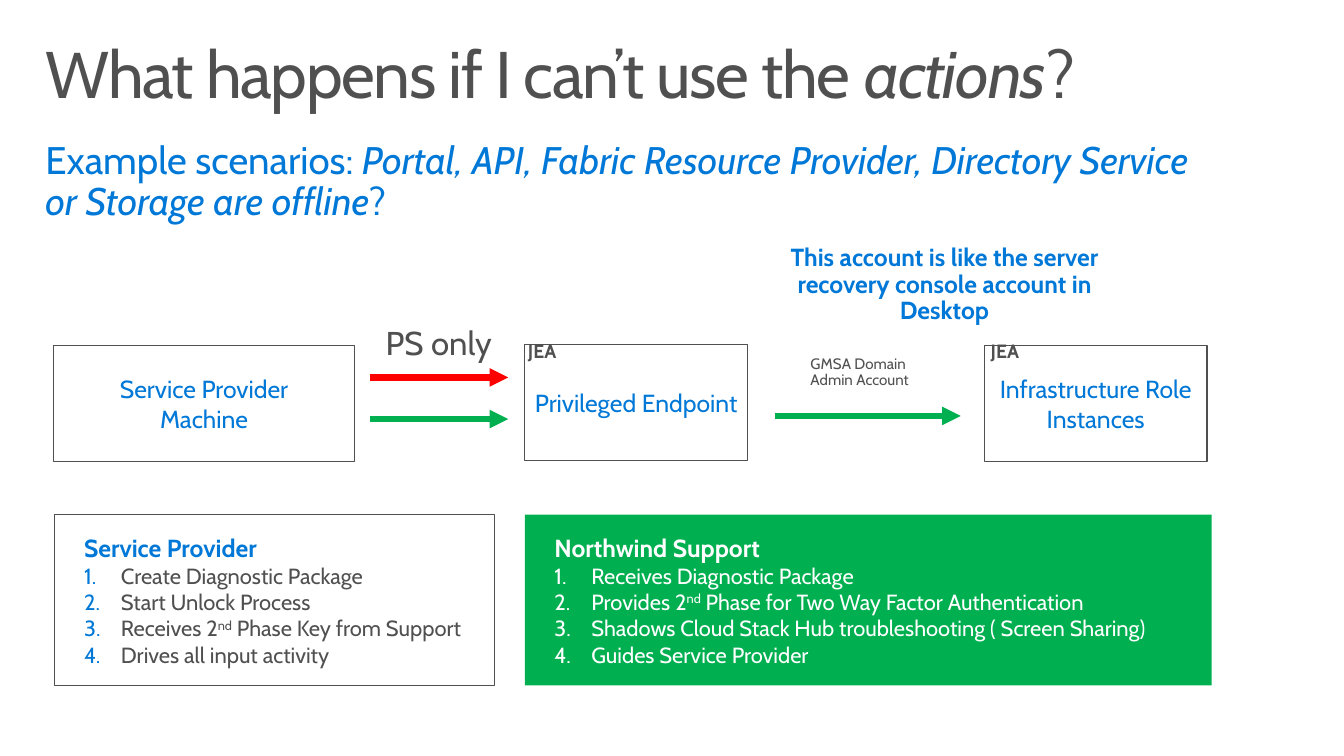
from dataclasses import dataclass

from lxml import etree
from pptx import Presentation
from pptx.dml.color import RGBColor
from pptx.enum.shapes import MSO_CONNECTOR, MSO_SHAPE
from pptx.enum.text import MSO_ANCHOR, PP_ALIGN
from pptx.oxml.ns import qn
from pptx.util import Cm, Pt

RECT = MSO_SHAPE.RECTANGLE
STRAIGHT = MSO_CONNECTOR.STRAIGHT
LEFT, CENTER = PP_ALIGN.LEFT, PP_ALIGN.CENTER
TOP, MIDDLE = MSO_ANCHOR.TOP, MSO_ANCHOR.MIDDLE


@dataclass(frozen=True)
class Theme:
    font: str = "Cabin"
    gray: str = "505050"
    blue: str = "0078D7"
    green: str = "00B050"
    red: str = "FF0000"
    white: str = "FFFFFF"
    title: int = 48
    subtitle: int = 28
    label: int = 24
    heading: int = 18
    item: int = 16
    tag: int = 14
    small: int = 11
    outline: float = 0.85
    arrow: float = 4.5


T = Theme()
HEAD_INSETS = (0.41, 0.25)
NOTE_INSETS = (0.51, 0.41)


def rgb(color):
    return RGBColor.from_string(color)


def add_run(p, text, size, color, bold=False, mark=""):
    r = p.add_run()
    r.text = text
    r.font.name = T.font
    r.font.size = Pt(size)
    r.font.color.rgb = rgb(color)
    r.font.bold = bold
    r.font.italic = mark == "italic"
    if mark == "super":
        r._r.get_or_add_rPr().set("baseline", "30000")
    return r


def set_frame(tf, left, top, right, bottom, anchor):
    tf.word_wrap = True
    tf.vertical_anchor = anchor
    tf.margin_left, tf.margin_top = Cm(left), Cm(top)
    tf.margin_right, tf.margin_bottom = Cm(right), Cm(bottom)


def add_text(slide, box, runs, size, color, insets=NOTE_INSETS, bold=False,
             align=LEFT, after=0, tracking=0):
    tf = slide.shapes.add_textbox(*map(Cm, box)).text_frame
    set_frame(tf, *insets, *insets, TOP)
    p = tf.paragraphs[0]
    p.alignment = align
    p.line_spacing = 0.9
    p.space_after = Pt(after)
    for text, mark in runs:
        r = add_run(p, text, size, color, bold, mark)
        if tracking:
            r._r.get_or_add_rPr().set("spc", str(tracking))


def add_note(slide, box, text, size, color=T.gray, bold=False, align=LEFT):
    add_text(slide, box, [(text, "")], size, color, bold=bold, align=align, after=6)


def add_box(slide, box, fill=None):
    sp = slide.shapes.add_shape(RECT, *map(Cm, box))
    sp.shadow.inherit = False
    if fill:
        sp.fill.solid()
        sp.fill.fore_color.rgb = rgb(fill)
        sp.line.fill.background()
    else:
        sp.fill.background()
        sp.line.color.rgb = rgb(T.gray)
        sp.line.width = Pt(T.outline)
    return sp


def add_arrow(slide, x1, x2, y, color):
    cxn = slide.shapes.add_connector(STRAIGHT, Cm(x1), Cm(y), Cm(x2), Cm(y))
    cxn.line.color.rgb = rgb(color)
    cxn.line.width = Pt(T.arrow)
    etree.SubElement(cxn.line._get_or_add_ln(), qn("a:tailEnd"), type="triangle")
    etree.SubElement(cxn._element.spPr, qn("a:effectLst"))


def add_node(slide, box, lines):
    tf = add_box(slide, box).text_frame
    set_frame(tf, 0, 0.13, 0, 0.13, MIDDLE)
    for i, line in enumerate(lines):
        p = tf.add_paragraph() if i else tf.paragraphs[0]
        p.alignment = CENTER
        add_run(p, line, T.heading, T.blue)


def number_paragraph(p, color):
    pPr = p._p.get_or_add_pPr()
    pPr.set("marL", str(Cm(0.95)))
    pPr.set("indent", str(-Cm(0.95)))
    clr = etree.SubElement(pPr, qn("a:buClr"))
    etree.SubElement(clr, qn("a:srgbClr"), val=color)
    etree.SubElement(pPr, qn("a:buAutoNum"), type="arabicPeriod")


def add_steps(slide, box, heading, steps, accent, color, fill=None):
    tf = add_box(slide, box, fill).text_frame
    set_frame(tf, 0.76, 0.13, 0, 0.13, MIDDLE)
    p = tf.paragraphs[0]
    p.alignment = LEFT
    add_run(p, heading, T.heading, accent, bold=True)
    for runs in steps:
        p = tf.add_paragraph()
        p.alignment = LEFT
        number_paragraph(p, accent)
        for text, mark in runs:
            add_run(p, text, T.item, color, mark=mark)


def add_header(slide, x, y, w, h):
    add_text(slide, (x, y, w, 2.54),
             [("What happens if I can’t use the ", ""), ("actions", "italic"), ("?", "")],
             T.title, T.gray, HEAD_INSETS, tracking=-100)
    add_text(slide, (x, y + 2.57, 30.28, h - 2.57),
             [("Example scenarios: ", ""),
              ("Portal, API, Fabric Resource Provider, Directory Service or Storage"
               " are offline", "italic"), ("?", "")],
             T.subtitle, T.blue, HEAD_INSETS)


def add_flow(slide, x, y, w, h):
    node_y, node_h = y + 3, h - 3
    endpoint_x, role_x, node_w = x + 12.12, x + w - 5.72, 5.72
    add_node(slide, (x, node_y, 7.75, node_h), ["Service Provider", "Machine"])
    add_node(slide, (endpoint_x, node_y - 0.03, node_w, node_h), ["Privileged Endpoint"])
    add_node(slide, (role_x, node_y, node_w, node_h), ["Infrastructure Role Instances"])
    for dy, color in ((0.81, T.red), (1.88, T.green)):
        add_arrow(slide, x + 8.15, x + 11.69, node_y + dy, color)
    add_arrow(slide, x + 18.54, x + 23.32, node_y + 1.8, T.green)
    add_note(slide, (x + 8.03, node_y - 0.89, 3.99, 1.75), "PS only", T.label)
    for node_x, gap in ((endpoint_x, 0.43), (role_x, 0.35)):
        add_note(slide, (node_x - gap, node_y - 0.36, 2.34, 1.37), "JEA", T.tag, bold=True)
    add_note(slide, (x + 18.95, node_y - 0.15, 3.99, 1.68),
             "GMSA Domain Admin Account", T.small)
    add_note(slide, (x + 18.04, y, 9.73, 2.9),
             "This account is like the server recovery console account in Desktop",
             T.heading, T.blue, True, CENTER)


def add_roles(slide, x, y, w, h):
    add_steps(slide, (x, y, 11.3, h), "Service Provider",
              [[("Create Diagnostic Package", "")],
               [("Start Unlock Process", "")],
               [("Receives 2", ""), ("nd", "super"), (" Phase Key from Support", "")],
               [("Drives all input activity", "")]],
              T.blue, T.gray)
    add_steps(slide, (x + 12.09, y, w - 12.09, h), "Northwind Support",
              [[("Receives Diagnostic Package", "")],
               [("Provides 2", ""), ("nd", "super"),
                (" Phase for Two Way Factor Authentication", "")],
               [("Shadows Cloud Stack Hub troubleshooting ( Screen Sharing)", "")],
               [("Guides Service Provider", "")]],
              T.white, T.white, T.green)


def main():
    prs = Presentation()
    prs.slide_width, prs.slide_height = Cm(34.54), Cm(19.43)
    slide = prs.slides.add_slide(prs.slide_layouts[6])
    add_header(slide, 0.76, 0.81, 33.02, 6.56)
    add_flow(slide, 1.37, 5.89, 29.65, 5.97)
    add_roles(slide, 1.4, 13.23, 29.74, 4.39)
    prs.save("out.pptx")


if __name__ == "__main__":
    main()
